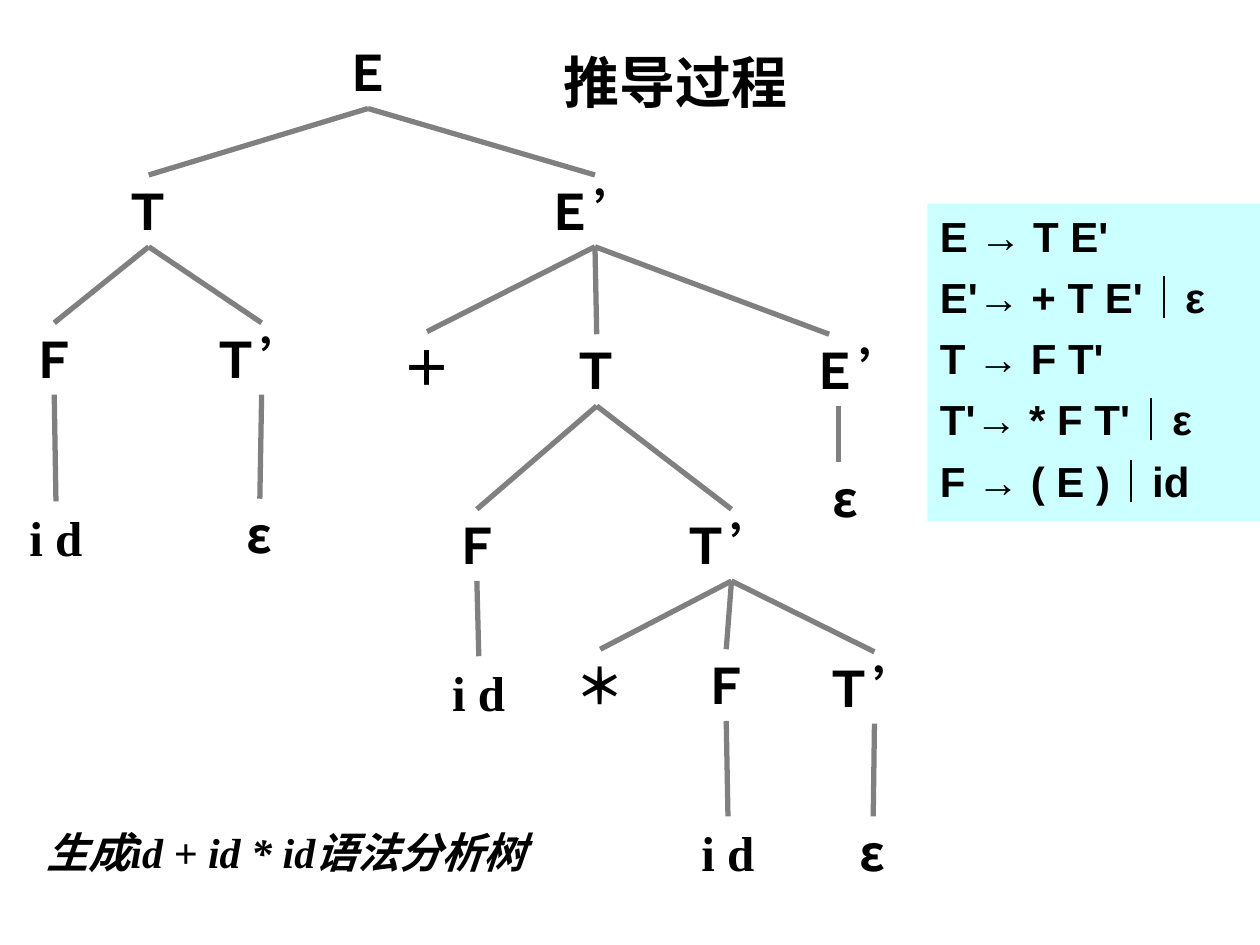
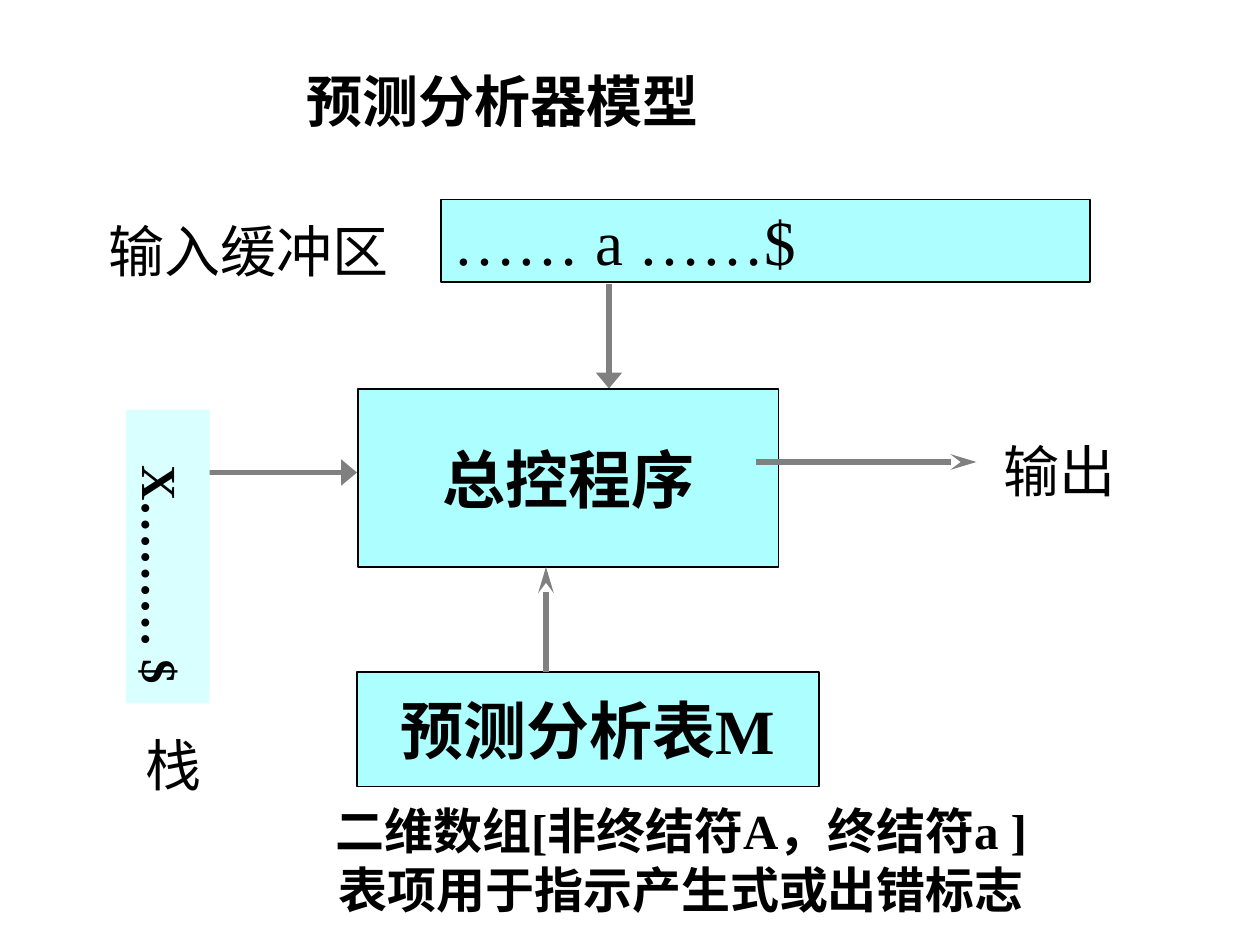
from lxml.etree import SubElement
from pptx import Presentation
from pptx.dml.color import RGBColor
from pptx.enum.shapes import MSO_CONNECTOR, MSO_SHAPE
from pptx.enum.text import MSO_ANCHOR, PP_ALIGN
from pptx.oxml.ns import qn
from pptx.util import Pt

BLACK = RGBColor(0x00, 0x00, 0x00)
WHITE = RGBColor(0xFF, 0xFF, 0xFF)
GRAY = RGBColor(0x80, 0x80, 0x80)
CYAN = RGBColor(0xAD, 0xFF, 0xFF)
GRAMMAR_CYAN = RGBColor(0xCC, 0xFF, 0xFF)
STACK_CYAN = RGBColor(0xD9, 0xFF, 0xFF)
SERIF, SANS, CHINESE = "Times New Roman", "Arial", "Noto Sans CJK SC"


def put_text(slide, text, left, top, width, height, size=28, font=SERIF, bold=True,
             italic=False, align=PP_ALIGN.LEFT, anchor=MSO_ANCHOR.TOP, wrap=True,
             fill=WHITE, outline=False, insets=(7.2, 3.6, 7.2, 3.6),
             line_spacing=None, space_before=0, vertical=False):
    box = slide.shapes.add_shape(MSO_SHAPE.RECTANGLE, Pt(left), Pt(top), Pt(width), Pt(height))
    box.shadow.inherit = False
    box.fill.solid()
    box.fill.fore_color.rgb = fill
    if outline:
        box.line.color.rgb = BLACK
        box.line.width = Pt(1)
    else:
        box.line.fill.background()
    frame = box.text_frame
    frame.word_wrap = wrap
    frame.vertical_anchor = anchor
    frame.margin_left, frame.margin_top, frame.margin_right, frame.margin_bottom = map(Pt, insets)
    if vertical:
        frame._txBody.bodyPr.set("vert", "eaVert")
    frame.text = text
    for index, paragraph in enumerate(frame.paragraphs):
        paragraph.alignment = align
        if line_spacing:
            paragraph.line_spacing = Pt(line_spacing)
        if index and space_before:
            paragraph.space_before = Pt(space_before)
        for run in paragraph.runs:
            run.font.size = Pt(size)
            run.font.bold = bold
            run.font.italic = italic
            run.font.color.rgb = BLACK
            run.font.name = font
            SubElement(run._r.get_or_add_rPr(), qn("a:ea"), typeface=CHINESE)


def put_line(slide, x1, y1, x2, y2, arrowhead=None):
    line = slide.shapes.add_connector(MSO_CONNECTOR.STRAIGHT, Pt(x1), Pt(y1), Pt(x2), Pt(y2))
    line.line.color.rgb = GRAY
    line.line.width = Pt(3)
    if arrowhead:
        SubElement(line.line._get_or_add_ln(), qn("a:tailEnd"), arrowhead)
    SubElement(line._element.spPr, qn("a:effectLst"))


deck = Presentation()
deck.slide_width, deck.slide_height = Pt(720), Pt(540)
blank = deck.slide_layouts[6]

# Slide 1: parse tree
tree_slide = deck.slides.add_slide(blank)
put_text(tree_slide, "推导过程", 315, 15, 405, 62.6, size=32, font=CHINESE,
         anchor=MSO_ANCHOR.MIDDLE)

# Each node: key, parent key, symbol, centre, top
nodes = [
    ("E", None, "Ｅ", 210.3, 21),
    ("T", "E", "Ｔ", 85, 100),
    ("E1", "E", "Ｅ’", 340, 100),
    ("F", "T", "Ｆ", 31, 184.5),
    ("T1", "T", "Ｔ’", 149.5, 184.5),
    ("plus", "E1", "＋", 244, 189.5),
    ("T2", "E1", "Ｔ", 341, 191),
    ("E2", "E1", "Ｅ’", 491.5, 191),
    ("id1", "F", "i d", 32, 286.5),
    ("eps1", "T1", "ε", 148.5, 285),
    ("F2", "T2", "Ｆ", 272.5, 291),
    ("T3", "T2", "Ｔ’", 418, 291),
    ("id2", "F2", "i d", 273.6, 375),
    ("eps2", "E2", "ε", 483.5, 264),
    ("star", "T3", "＊", 343, 371),
    ("F3", "T3", "Ｆ", 415, 371),
    ("T4", "T3", "Ｔ’", 499.7, 372.5),
    ("id3", "F3", "i d", 416, 466.5),
    ("eps3", "T4", "ε", 499, 466.5),
]
NODE_HEIGHT = 41
symbol_widths = {"i d": 44.6, "ε": 29.5}
branch_start = {"E2": 479}               # where branches leave, if off centre
branch_end = {"E2": 473.8, "eps2": 479}  # where branches arrive, if off centre
placed = {}
for key, parent, symbol, centre, top in nodes:
    width = symbol_widths.get(symbol, 71 if "’" in symbol else 42.5)
    put_text(tree_slide, symbol, centre - width / 2, top, width, NODE_HEIGHT, wrap=False,
             font=CHINESE if symbol == "ε" else SERIF)
    placed[key] = (branch_start.get(key, centre), top + NODE_HEIGHT)
    if parent:
        put_line(tree_slide, *placed[parent], branch_end.get(key, centre), top)

put_text(tree_slide, "生成id + id * id语法分析树", 19.5, 468.7, 311.8, 36, size=24, italic=True)

# Grammar
grammar = ["E → T E'", "E'→ + T E'｜ε", "T → F T'", "T'→ * F T'｜ε", "F → ( E )｜id"]
put_text(tree_slide, "\n".join(grammar), 530, 116.7, 190, 181.4, size=24, font=SANS,
         fill=GRAMMAR_CYAN, insets=(7.2, 3.6, 0, 0), line_spacing=28.9, space_before=6)

# Slide 2: predictive parser model
model_slide = deck.slides.add_slide(blank)
put_text(model_slide, "预测分析器模型", 167.8, 30.2, 552.2, 54, size=32, font=SANS,
         anchor=MSO_ANCHOR.MIDDLE)

# Input buffer, control program and parsing table
for text, left, top, width, height, bold, align in [
    ("…… a ……$", 252, 114, 371, 47, False, PP_ALIGN.LEFT),
    ("总控程序", 204.5, 222.5, 240.5, 101.5, True, PP_ALIGN.CENTER),
    ("预测分析表M", 204, 384, 264, 65.5, True, PP_ALIGN.CENTER),
]:
    put_text(model_slide, text, left, top, width, height, size=36, bold=bold, align=align,
             anchor=MSO_ANCHOR.MIDDLE, wrap=False, fill=CYAN, outline=True)

# Data flow
wide_head = {"type": "triangle", "w": "lg", "len": "med"}
long_head = {"type": "stealth", "w": "med", "len": "lg"}
for x1, y1, x2, y2, arrowhead in [
    (348, 162, 348, 222, wide_head),
    (114, 270, 204, 270, wide_head),
    (312, 384, 312, 324, long_head),
    (432, 264, 558, 264, long_head),
]:
    put_line(model_slide, x1, y1, x2, y2, arrowhead)

# Table explanation
put_text(model_slide, "二维数组[非终结符A，终结符a ]\n表项用于指示产生式或出错标志",
         31, 454, 680.4, 75, align=PP_ALIGN.CENTER, insets=(43.2, 3.6, 7.2, 3.6))

# Stack
put_text(model_slide, "X……… $", 72, 234, 47.8, 168, anchor=MSO_ANCHOR.BOTTOM,
         fill=STACK_CYAN, insets=(3.6, 32, 3.6, 0), vertical=True)

# Labels
for text, left, top, width in [
    ("输出", 566, 246.2, 78.5),
    ("栈", 76, 414, 46.8),
    ("输入缓冲区", 54, 120.2, 176.4),
]:
    put_text(model_slide, text, left, top, width, 45.4, size=32, bold=False,
             align=PP_ALIGN.CENTER, wrap=False)

deck.save("out.pptx")
